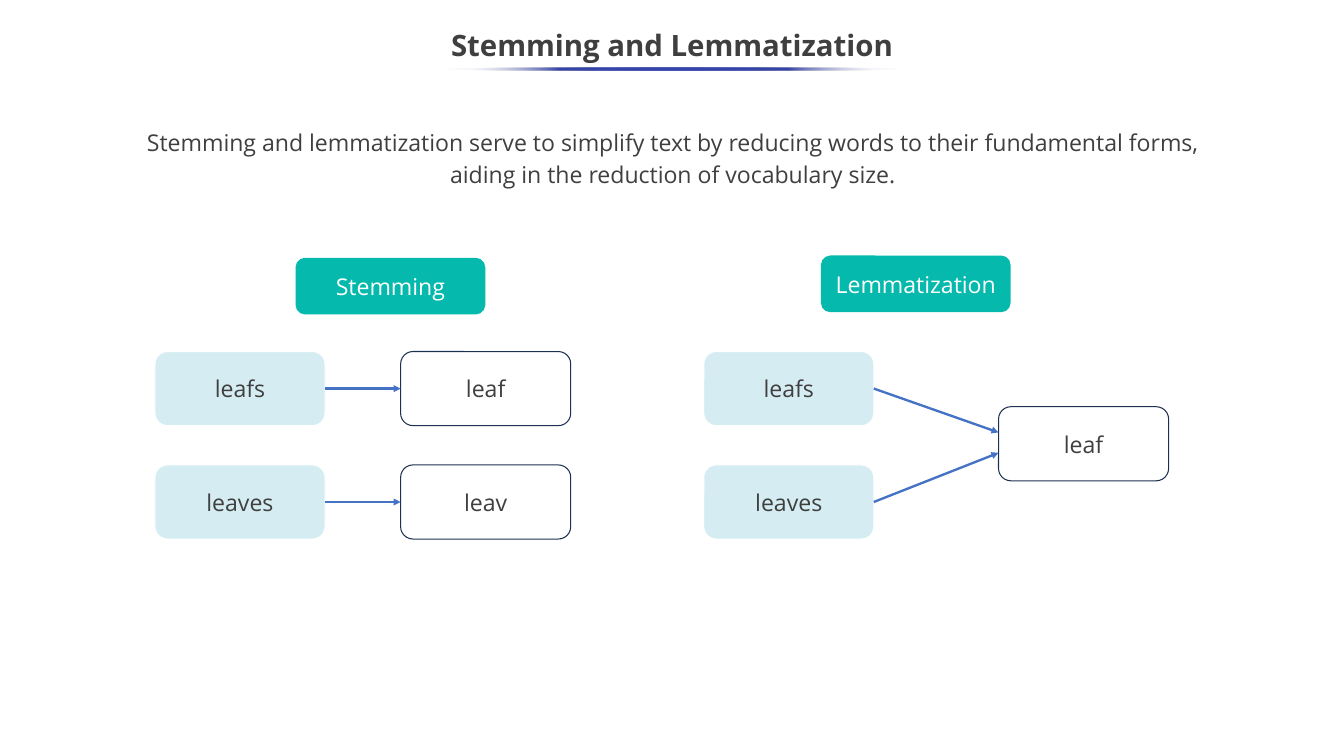
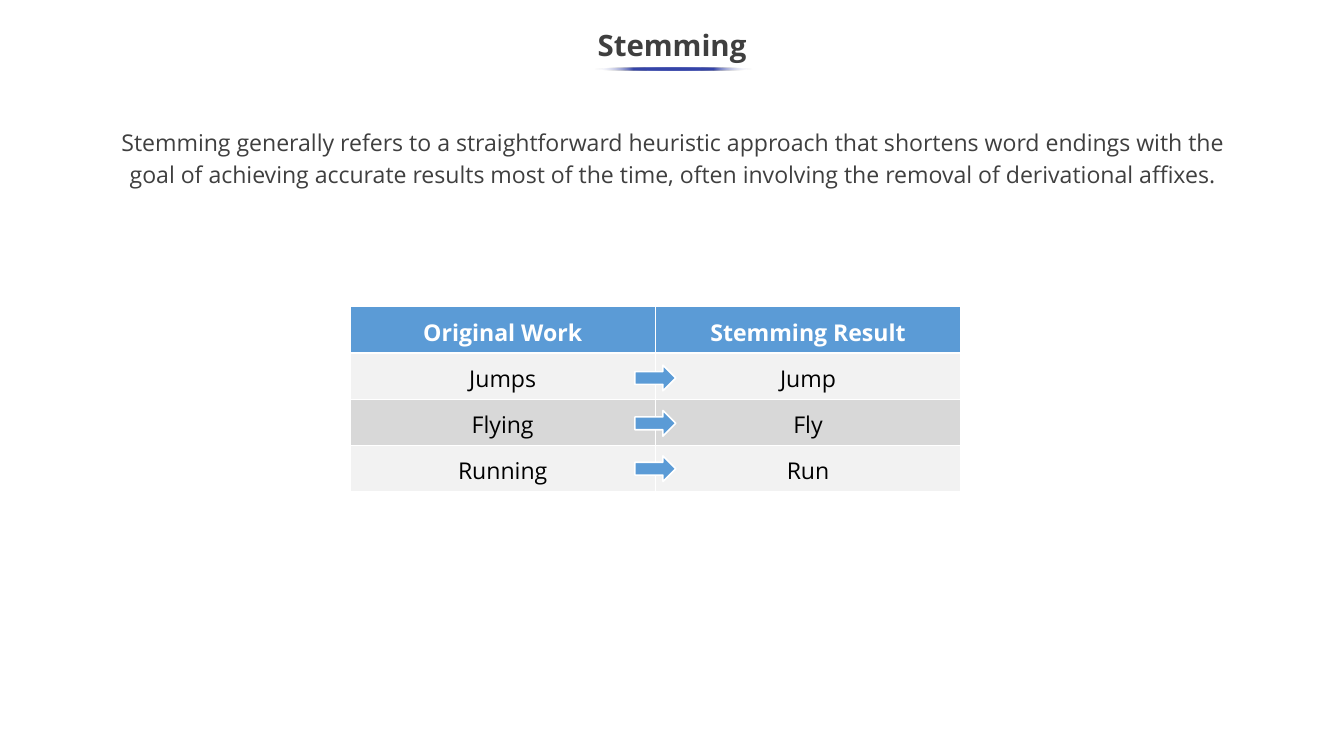
from dataclasses import dataclass

from lxml.etree import SubElement
from pptx import Presentation
from pptx.dml.color import RGBColor
from pptx.enum.shapes import MSO_CONNECTOR, MSO_SHAPE
from pptx.enum.text import MSO_ANCHOR, PP_ALIGN
from pptx.oxml.ns import qn
from pptx.util import Pt

PX = 9144  # EMU in one px: 100 px to the inch


@dataclass(frozen=True)
class Theme:
    face: str = "Open Sans"
    head: int = 28
    body: int = 22
    ink: str = "3F3F3F"
    black: str = "000000"
    white: str = "FFFFFF"
    teal: str = "05B9AD"
    pale: str = "D5EDF2"
    navy: str = "1C3052"
    link: str = "4472C4"
    rule: str = "3645A9"
    blue: str = "5B9BD6"
    light: str = "F2F2F2"
    grey: str = "D8D8D8"


T = Theme()
RIGHT, LEFT = 3, 1  # connection sites


# Helpers
def px(*nums):
    return [n * PX for n in nums]


def style(item, **vals):
    for name, val in vals.items():
        setattr(item, name, val)


def write(frame, text, color=T.ink, size=T.body, bold=False, lead=1.0):
    style(frame, word_wrap=True)
    para = frame.paragraphs[0]
    style(para, alignment=PP_ALIGN.CENTER, line_spacing=lead)
    run = para.add_run()
    run.text = text
    style(run.font, name=T.face, size=Pt(size), bold=bold)
    run.font.color.rgb = RGBColor.from_string(color)


def paint(shape, fill, edge=None, width=1):
    shape.shadow.inherit = False
    shape.fill.solid()
    shape.fill.fore_color.rgb = RGBColor.from_string(fill)
    if edge:
        shape.line.color.rgb = RGBColor.from_string(edge)
        shape.line.width = Pt(width)
    else:
        shape.line.fill.background()


# Parts that both slides share
def add_title(slide, text, width):
    box = slide.shapes.add_textbox(*px(-1, 25, 1780, 75))
    style(box.text_frame, vertical_anchor=MSO_ANCHOR.MIDDLE)
    write(box.text_frame, text, size=T.head, bold=True, lead=0.9)

    # Underline that fades out at both ends
    bar = slide.shapes.add_shape(
        MSO_SHAPE.OVAL, *px(891 - width // 2, 89, width, 4))
    bar.shadow.inherit = False
    bar.line.fill.background()
    bar.fill.gradient()
    bar.fill.gradient_angle = 180
    stops = bar._element.spPr.find(qn("a:gradFill")).find(qn("a:gsLst"))
    for old in list(stops):
        stops.remove(old)
    for pos in (0, 25, 50, 75, 100):
        end = pos in (0, 100)
        stop = SubElement(stops, qn("a:gs"), pos=str(pos * 1000))
        tone = SubElement(stop, qn("a:srgbClr"), val=T.white if end else T.rule)
        if end:
            SubElement(tone, qn("a:alpha"), val="0")


def add_intro(slide, text, lead):
    box = slide.shapes.add_textbox(*px(141, 165, 1498, 99))
    style(box.text_frame, margin_top=0, margin_bottom=0)
    write(box.text_frame, text, lead=lead)


# Diagram parts
def add_box(slide, text, x, y, fill, edge=None, color=T.ink, size=(225, 98)):
    box = slide.shapes.add_shape(MSO_SHAPE.ROUNDED_RECTANGLE, *px(x, y, *size))
    paint(box, fill, edge)
    style(box.text_frame, vertical_anchor=MSO_ANCHOR.MIDDLE)
    write(box.text_frame, text, color)
    return box


def add_badge(slide, text, x, y):
    add_box(slide, text, x, y, T.teal, color=T.white, size=(251, 75))


def add_word(slide, text, x, y):
    return add_box(slide, text, x, y, T.pale, T.white)


def add_root(slide, text, x, y):
    return add_box(slide, text, x, y, T.white, T.navy)


def add_link(slide, start, stop=None, tip=(0, 0)):
    """Arrow from the right of start to the left of stop, or to a tip."""
    link = slide.shapes.add_connector(
        MSO_CONNECTOR.STRAIGHT, *px(0, 0, *tip))
    link.begin_connect(start, RIGHT)
    if stop is not None:
        link.end_connect(stop, LEFT)
    link.line.color.rgb = RGBColor.from_string(T.link)
    link.line.width = Pt(2.25)
    SubElement(link.line._get_or_add_ln(), qn("a:tailEnd"), type="triangle")
    SubElement(link._element.spPr, qn("a:effectLst"))


# Table parts
def add_edges(cell, head):
    props = cell._tc.get_or_add_tcPr()
    for side in "LRTB":
        width = Pt(3 if head and side == "B" else 1)
        line = SubElement(props, qn("a:ln" + side), w=str(width))
        fill = SubElement(line, qn("a:solidFill"))
        SubElement(fill, qn("a:srgbClr"), val=T.white)


def add_grid(slide, rows, x, y, wide, high):
    cols = len(rows[0])
    grid = slide.shapes.add_table(
        len(rows), cols, *px(x, y, wide * cols, high * len(rows))).table
    style(grid, horz_banding=False)
    for r, row in enumerate(rows):
        head = r == 0
        fill = T.blue if head else (T.grey, T.light)[r % 2]
        for c, text in enumerate(row):
            cell = grid.cell(r, c)
            add_edges(cell, head)
            cell.fill.solid()
            cell.fill.fore_color.rgb = RGBColor.from_string(fill)
            style(cell, vertical_anchor=MSO_ANCHOR.MIDDLE)
            write(cell.text_frame, text, T.white if head else T.black,
                  bold=head, lead=1.14)


# Slides
def draw_forms(slide):
    add_title(slide, "Stemming and Lemmatization", 600)
    add_intro(slide, "Stemming and lemmatization serve to simplify text by "
              "reducing words to their fundamental forms, aiding in the "
              "reduction of vocabulary size.", 1.15)
    add_badge(slide, "Stemming", 391, 341)
    add_badge(slide, "Lemmatization", 1086, 338)

    lemma = add_root(slide, "leaf", 1321, 538)
    rows = (("leafs", "leaf", 465, 572), ("leaves", "leav", 615, 599))
    for word, stem, y, tip in rows:
        add_link(slide, add_word(slide, word, 205, y),
                 add_root(slide, stem, 530, y))
        add_link(slide, add_word(slide, word, 931, y),
                 tip=(lemma.left // PX, tip))


def draw_stems(slide):
    add_title(slide, "Stemming", 210)
    add_intro(slide, "Stemming generally refers to a straightforward heuristic "
              "approach that shortens word endings with the goal of achieving "
              "accurate results most of the time, often involving the removal "
              "of derivational affixes.", 1.14)
    rows = (("Original Work", "Stemming Result"), ("Jumps", "Jump"),
            ("Flying", "Fly"), ("Running", "Run"))
    add_grid(slide, rows, 463, 406, 404, 61)
    for i in range(len(rows) - 1):
        mark = slide.shapes.add_shape(
            MSO_SHAPE.RIGHT_ARROW, *px(840, 483 + 60 * i, 54, 34))
        paint(mark, T.blue, T.white, 1.5)


def main():
    deck = Presentation()
    wide, high = px(1778, 1000)
    style(deck, slide_width=wide, slide_height=high)
    for draw in (draw_forms, draw_stems):
        draw(deck.slides.add_slide(deck.slide_layouts[6]))
    deck.save("out.pptx")


if __name__ == "__main__":
    main()
